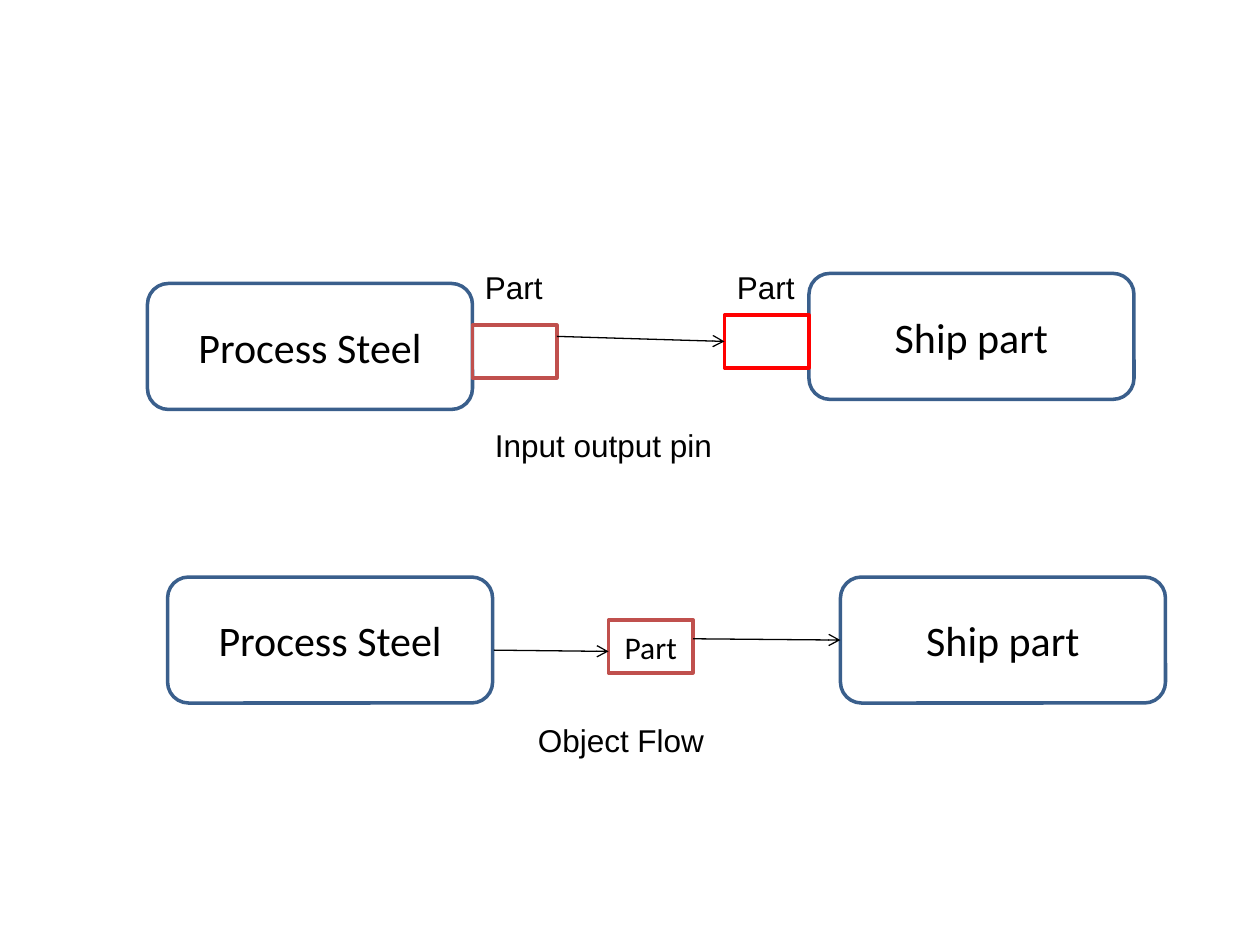
"""Build a slide comparing input/output pins with object flow."""
import pptx
import pptx.dml.color
import pptx.enum.shapes
import pptx.enum.text
import pptx.oxml
import pptx.oxml.ns
import pptx.util

Inches = pptx.util.Inches
Pt = pptx.util.Pt
SHAPES = pptx.enum.shapes.MSO_SHAPE


def color(value):
    return pptx.dml.color.RGBColor.from_string(value)


def write(shape, text, size, font_name, alignment):
    shape.text_frame.word_wrap = True
    shape.text_frame.text = text
    paragraph = shape.text_frame.paragraphs[0]
    paragraph.alignment = alignment
    font = paragraph.runs[0].font
    font.size = Pt(size)
    font.name = font_name
    font.color.rgb = color("000000")


presentation = pptx.Presentation()
presentation.slide_width = Inches(10)
presentation.slide_height = Inches(7.5)
slide = presentation.slides.add_slide(presentation.slide_layouts[6])

ACTION = (SHAPES.FLOWCHART_ALTERNATE_PROCESS, 2.58, 1, 24)
PIN = (SHAPES.RECTANGLE, 0.67, 0.42, 18)
nodes = {}
for key, kind, left, top, line_color, text in [
    ("pin process", ACTION, 1.17, 2.25, "3A5F8C", "Process Steel"),
    ("pin ship", ACTION, 6.42, 2.17, "3A5F8C", "Ship part"),
    ("output pin", PIN, 3.75, 2.58, "C0504D", ""),
    ("input pin", PIN, 5.75, 2.5, "FF0000", ""),
    ("flow process", ACTION, 1.33, 4.58, "3A5F8C", "Process Steel"),
    ("flow ship", ACTION, 6.67, 4.58, "3A5F8C", "Ship part"),
    ("flow part", PIN, 4.83, 4.92, "C0504D", "Part"),
]:
    preset, width, height, size = kind
    shape = slide.shapes.add_shape(
        preset, Inches(left), Inches(top), Inches(width), Inches(height)
    )
    shape.shadow.inherit = False
    if kind is ACTION:
        shape.fill.solid()
        shape.fill.fore_color.rgb = color("FFFFFF")
    else:
        shape.fill.background()
    shape.line.color.rgb = color(line_color)
    shape.line.width = Pt(2)
    if text:
        write(shape, text, size, "Calibri", pptx.enum.text.PP_ALIGN.CENTER)
        shape.text_frame.vertical_anchor = pptx.enum.text.MSO_ANCHOR.MIDDLE
    nodes[key] = shape

for text, left, top, width in [
    ("Part", 3.75, 2.08, 0.67),
    ("Part", 5.75, 2.08, 0.67),
    ("Input output pin", 3.83, 3.33, 4),
    ("Object Flow", 4.17, 5.67, 2.58),
]:
    label = slide.shapes.add_textbox(
        Inches(left), Inches(top), Inches(width), Inches(0.42)
    )
    write(label, text, 18, "Arial", pptx.enum.text.PP_ALIGN.LEFT)
    label.text_frame.auto_size = pptx.enum.text.MSO_AUTO_SIZE.SHAPE_TO_FIT_TEXT

for start_x, start_y, end_x, end_y, target in [
    (4.42, 2.67, 5.75, 2.71, "input pin"),
    (3.92, 5.16, 4.83, 5.17, None),
    (5.5, 5.07, 6.67, 5.08, "flow ship"),
]:
    arrow = slide.shapes.add_connector(
        pptx.enum.shapes.MSO_CONNECTOR.STRAIGHT,
        Inches(start_x), Inches(start_y), Inches(end_x), Inches(end_y),
    )
    if target:
        arrow.end_connect(nodes[target], 1)
    arrow.line.color.rgb = color("000000")
    arrow.line.width = Pt(0.75)
    head = pptx.oxml.parse_xml(
        f'<a:tailEnd {pptx.oxml.ns.nsdecls("a")} type="arrow"/>'
    )
    arrow._element.spPr.find(pptx.oxml.ns.qn("a:ln")).append(head)
    effects = pptx.oxml.parse_xml(f'<a:effectLst {pptx.oxml.ns.nsdecls("a")}/>')
    arrow._element.spPr.append(effects)

presentation.save("out.pptx")
